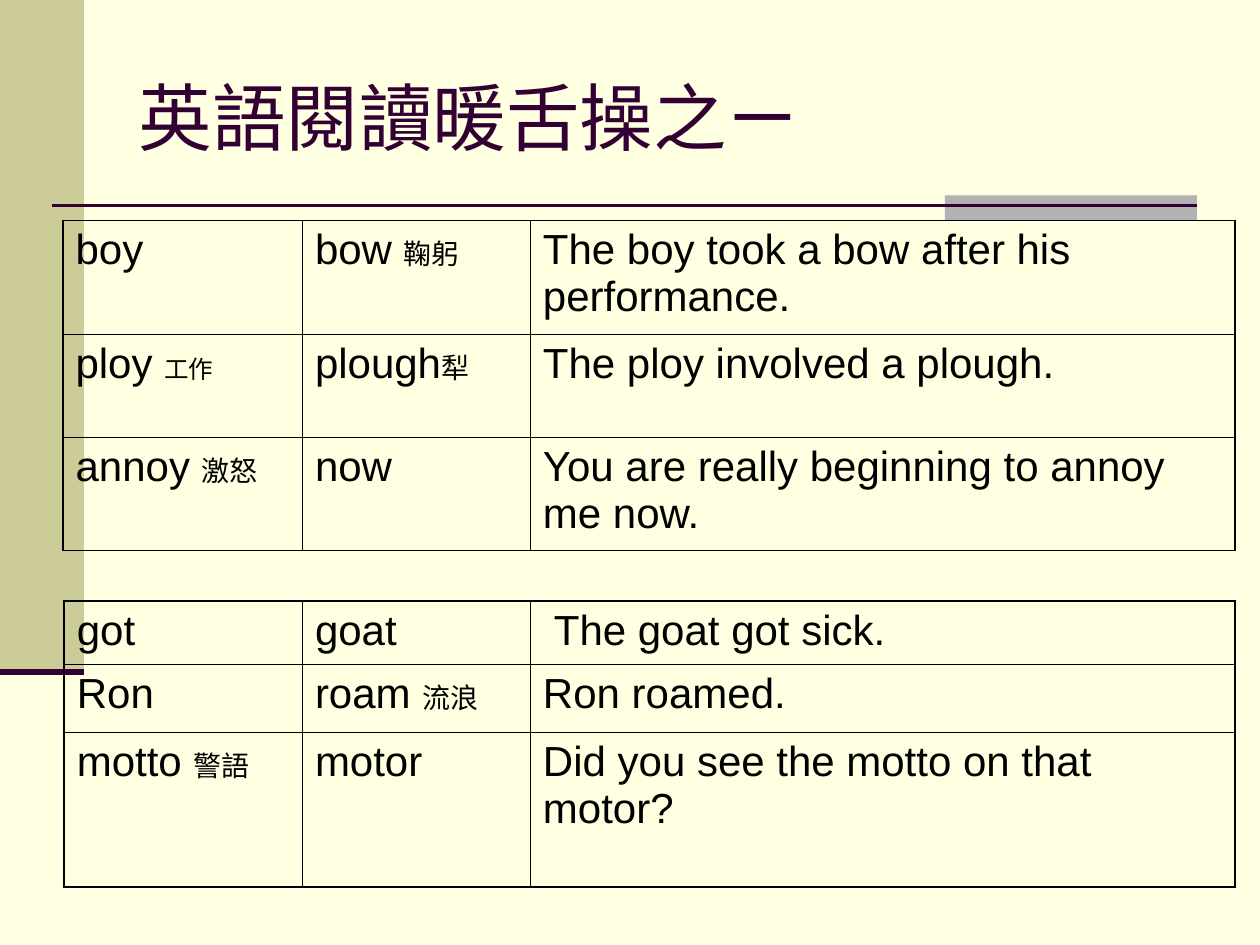
import dataclasses
import typing

import lxml.etree
import pptx
import pptx.dml.color
import pptx.enum.shapes
import pptx.enum.text
import pptx.oxml.ns
import pptx.slide
import pptx.table
import pptx.text.text
import pptx.util


@dataclasses.dataclass(frozen=True)
class Theme:
    background: str = "FFFFE1"
    band: str = "CCCC99"
    tab: str = "B2B2B2"
    accent: str = "330033"
    ink: str = "000000"
    title_size: float = 42
    word_size: float = 24
    gloss_size: float = 16
    small_gloss_size: float = 14
    title_font: str = "Times New Roman"
    word_font: str = "Arial"
    chinese_font: str = "Noto Sans CJK TC"
    outer_border: float = 1.08
    inner_border: float = 0.45


THEME = Theme()


class Block(typing.NamedTuple):
    left: float
    top: float
    width: float
    height: float
    color: str


class Rule(typing.NamedTuple):
    left: float
    right: float
    height: float
    weight: float


class Entry(typing.NamedTuple):
    word: str
    gloss: str = ""
    gloss_size: float = THEME.gloss_size


class WordTable(typing.NamedTuple):
    left: float
    top: float
    columns: tuple[float, ...]
    heights: tuple[float, ...]
    rows: tuple[tuple[Entry, ...], ...]


BLOCKS = (
    Block(0, 0, 48, 384, THEME.band),
    Block(540, 111.6, 144, 14.4, THEME.tab),
)
RULES = (Rule(30, 684, 117.4, 1.5), Rule(0, 48, 384, 3.5))
TABLES = (
    WordTable(36, 126, (136.8, 130.3, 402.5), (64.8, 59, 64.8), (
        (Entry("boy"), Entry("bow ", "鞠躬"),
         Entry("The boy took a bow after his performance.")),
        (Entry("ploy ", "工作", THEME.small_gloss_size), Entry("plough", "犁"),
         Entry("The ploy involved a plough.")),
        (Entry("annoy ", "激怒"), Entry("now"),
         Entry("You are really beginning to annoy me now.")),
    )),
    WordTable(36.7, 343.5, (136.1, 130.3, 402.5), (36, 38.9, 88.4), (
        (Entry("got"), Entry("goat"), Entry(" The goat got sick.")),
        (Entry("Ron"), Entry("roam ", "流浪"), Entry("Ron roamed.")),
        (Entry("motto ", "警語"), Entry("motor"),
         Entry("Did you see the motto on that motor?")),
    )),
)


def rgb(color: str) -> pptx.dml.color.RGBColor:
    return pptx.dml.color.RGBColor.from_string(color)


def add_span(para: pptx.text.text._Paragraph, text: str, *, size: float,
             font: str, color: str) -> None:
    span = para.add_run()
    span.text = text
    span.font.size = pptx.util.Pt(size)
    span.font.name = font
    span.font.color.rgb = rgb(color)
    east_asian = lxml.etree.SubElement(
        span.font._element, pptx.oxml.ns.qn("a:ea"))
    east_asian.set("typeface", THEME.chinese_font)


def add_block(page: pptx.slide.Slide, block: Block) -> None:
    shape = page.shapes.add_shape(
        pptx.enum.shapes.MSO_SHAPE.RECTANGLE,
        *(pptx.util.Pt(length) for length in block[:4]))
    shape.shadow.inherit = False
    shape.fill.solid()
    shape.fill.fore_color.rgb = rgb(block.color)
    shape.line.fill.background()


def add_rule(page: pptx.slide.Slide, rule: Rule) -> None:
    height = pptx.util.Pt(rule.height)
    line = page.shapes.add_connector(
        pptx.enum.shapes.MSO_CONNECTOR.STRAIGHT,
        pptx.util.Pt(rule.left), height, pptx.util.Pt(rule.right), height)
    line.line.color.rgb = rgb(THEME.accent)
    line.line.width = pptx.util.Pt(rule.weight)
    lxml.etree.SubElement(
        line._element.spPr, pptx.oxml.ns.qn("a:effectLst"))


def set_title(page: pptx.slide.Slide, text: str) -> None:
    title = page.shapes.title
    title.left, title.top = pptx.util.Pt(72), pptx.util.Pt(21.6)
    title.width, title.height = pptx.util.Pt(612), pptx.util.Pt(90)
    frame = title.text_frame
    frame.auto_size = pptx.enum.text.MSO_AUTO_SIZE.NONE
    frame.vertical_anchor = pptx.enum.text.MSO_ANCHOR.MIDDLE
    para = frame.paragraphs[0]
    para.alignment = pptx.enum.text.PP_ALIGN.LEFT
    add_span(para, text, size=THEME.title_size, font=THEME.title_font,
             color=THEME.accent)


def set_borders(cell: pptx.table._Cell, outer_sides: dict[str, bool]) -> None:
    properties = cell._tc.get_or_add_tcPr()
    for side, is_outer in outer_sides.items():
        weight = THEME.outer_border if is_outer else THEME.inner_border
        border = lxml.etree.SubElement(
            properties, pptx.oxml.ns.qn(f"a:ln{side}"),
            w=str(pptx.util.Pt(weight)))
        fill = lxml.etree.SubElement(border, pptx.oxml.ns.qn("a:solidFill"))
        lxml.etree.SubElement(
            fill, pptx.oxml.ns.qn("a:srgbClr"), val=THEME.ink)


def fill_cell(cell: pptx.table._Cell, entry: Entry) -> None:
    cell.fill.background()
    para = cell.text_frame.paragraphs[0]
    add_span(para, entry.word, size=THEME.word_size, font=THEME.word_font,
             color=THEME.ink)
    if entry.gloss:
        add_span(para, entry.gloss, size=entry.gloss_size,
                 font=THEME.chinese_font, color=THEME.ink)


def add_word_table(page: pptx.slide.Slide, words: WordTable) -> None:
    last_row, last_column = len(words.rows) - 1, len(words.columns) - 1
    table = page.shapes.add_table(
        len(words.rows), len(words.columns),
        pptx.util.Pt(words.left), pptx.util.Pt(words.top),
        pptx.util.Pt(sum(words.columns)),
        pptx.util.Pt(sum(words.heights))).table
    table.first_row = table.horz_banding = False
    for column, width in zip(table.columns, words.columns):
        column.width = pptx.util.Pt(width)
    for row, height in zip(table.rows, words.heights):
        row.height = pptx.util.Pt(height)
    for row_index, entries in enumerate(words.rows):
        for column_index, entry in enumerate(entries):
            cell = table.cell(row_index, column_index)
            set_borders(cell, {
                "L": column_index == 0, "R": column_index == last_column,
                "T": row_index == 0, "B": row_index == last_row})
            fill_cell(cell, entry)


def main() -> None:
    deck = pptx.Presentation()
    deck.slide_width, deck.slide_height = pptx.util.Pt(720), pptx.util.Pt(540)
    page = deck.slides.add_slide(deck.slide_layouts.get_by_name("Title Only"))
    page.background.fill.solid()
    page.background.fill.fore_color.rgb = rgb(THEME.background)
    for block in BLOCKS:
        add_block(page, block)
    for rule in RULES:
        add_rule(page, rule)
    set_title(page, "英語閱讀暖舌操之ㄧ")
    for words in TABLES:
        add_word_table(page, words)
    deck.save("out.pptx")


if __name__ == "__main__":
    main()
